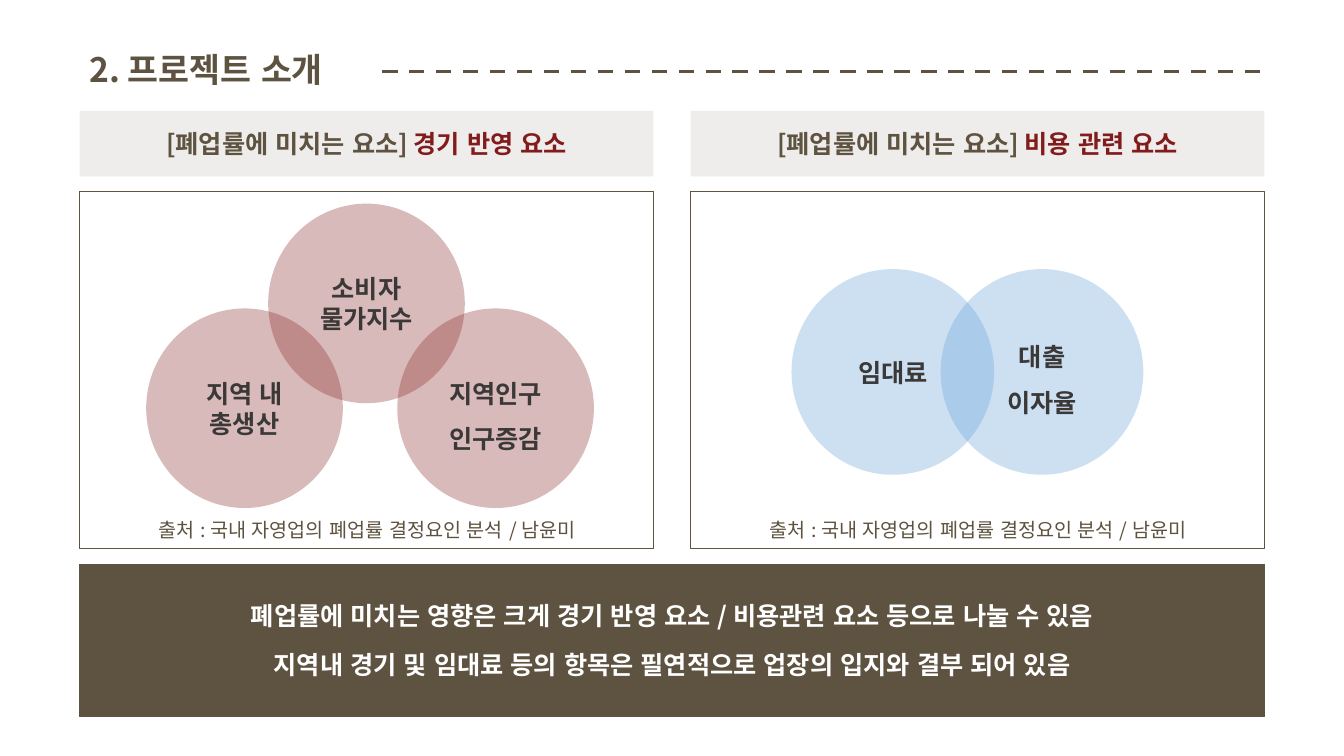
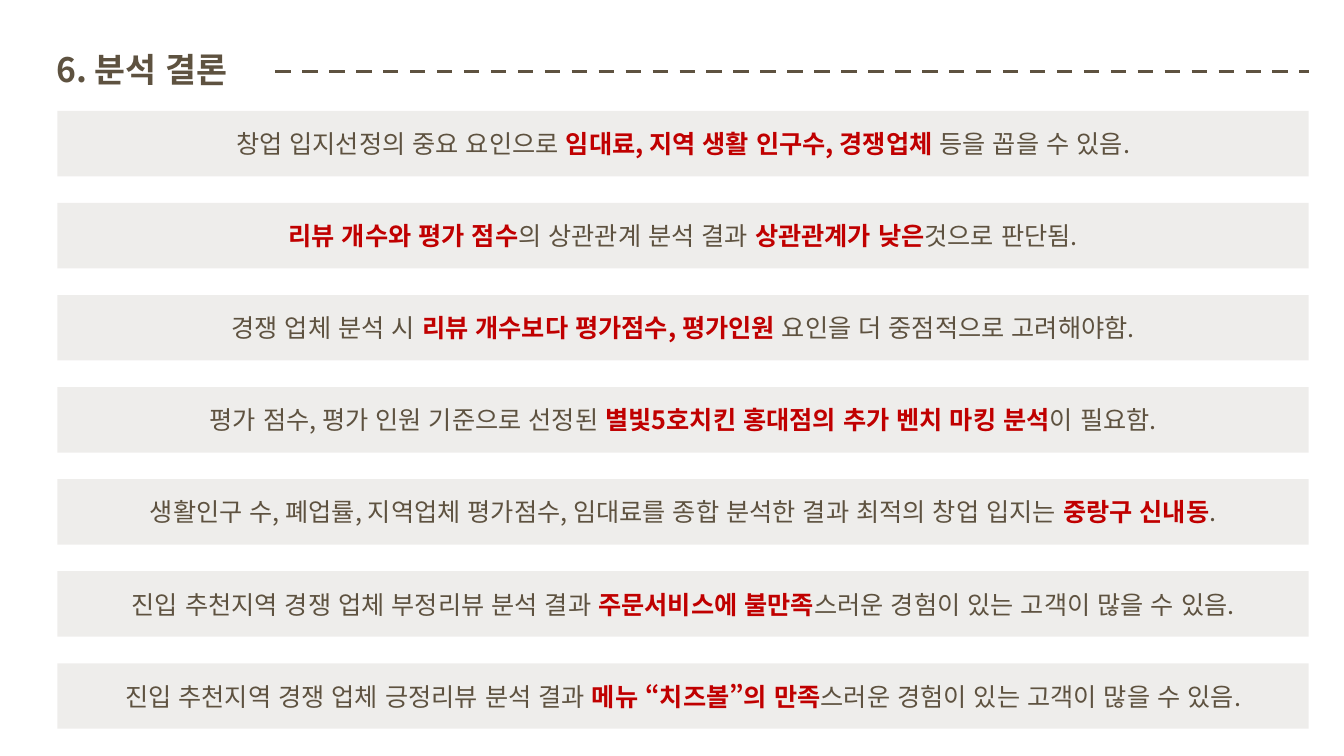
import pptx
import pptx.util
import pptx.dml.color
import pptx.enum.dml
import pptx.enum.lang
import pptx.enum.shapes
import pptx.enum.text
import pptx.oxml.ns
import lxml.etree

Inches, Pt = pptx.util.Inches, pptx.util.Pt
PRESET = pptx.enum.shapes.MSO_SHAPE
ALIGN = pptx.enum.text.PP_ALIGN
MIDDLE = pptx.enum.text.MSO_ANCHOR.MIDDLE

FONT = "Noto Sans CJK KR"
BROWN, CHARCOAL, WHITE = "5E5240", "3B3838", "FFFFFF"
WINE, RED, BLUE = "821C1C", "C00000", "5B9BD5"
BAND_TOP, BAND_HEIGHT, BAND_ALPHA = 1.1, 0.65, 10

# Circle labels: left, lines, line spacing
FACTORS = [
    {"left": 0.79, "name": "경기 반영 요소", "color": WINE, "size": (1.95, 1.98),
     "circles": [(1.45, 3.06, ["지역 내", "총생산"], 1),
                 (3.94, 3.06, ["지역인구", "인구증감"], 1.5),
                 (2.66, 2.02, ["소비자", "물가지수"], 1)]},
    {"left": 6.85, "name": "비용 관련 요소", "color": BLUE, "size": (2.01, 2.04),
     "circles": [(7.85, 2.67, ["임대료"], 1),
                 (9.33, 2.67, ["대출", "이자율"], 1.5)]},
]
FACTOR_PREFIX = "[폐업률에 미치는 요소] "
CITATION = "출처 : 국내 자영업의 폐업률 결정요인 분석 / 남윤미"
SUMMARY = [
    "폐업률에 미치는 영향은 크게 경기 반영 요소 / 비용관련 요소 등으로 나눌 수 있음",
    "지역내 경기 및 임대료 등의 항목은 필연적으로 업장의 입지와 결부 되어 있음",
]

# Asterisks enclose the emphasised words
CONCLUSIONS = [
    "창업 입지선정의 중요 요인으로 *임대료, 지역 생활 인구수, 경쟁업체 *등을 꼽을 수 있음.",
    "*리뷰 개수와 평가 점수*의 상관관계 분석 결과 *상관관계가 낮은*것으로 판단됨.",
    "경쟁 업체 분석 시 *리뷰 개수보다 평가점수, 평가인원 *요인을 더 중점적으로 고려해야함.",
    "평가 점수, 평가 인원 기준으로 선정된 *별빛5호치킨 홍대점의 추가 벤치 마킹 분석*이 필요함.",
    "생활인구 수, 폐업률, 지역업체 평가점수, 임대료를 종합 분석한 결과 최적의 창업 입지는 *중랑구 신내동*.",
    "진입 추천지역 경쟁 업체 부정리뷰 분석 결과 *주문서비스에 불만족*스러운 경험이 있는 고객이 많을 수 있음.",
    "진입 추천지역 경쟁 업체 긍정리뷰 분석 결과 *메뉴 “치즈볼”의 만족*스러운 경험이 있는 고객이 많을 수 있음.",
]


def rgb(color):
    return pptx.dml.color.RGBColor.from_string(color)


def write(frame, paragraphs, size=18, align=ALIGN.CENTER, spacing=None):
    """Fill a frame with paragraphs, each a list of (text, colour, bold) runs."""
    for index, runs in enumerate(paragraphs):
        paragraph = frame.paragraphs[0] if index == 0 else frame.add_paragraph()
        paragraph.alignment = align
        if spacing:
            paragraph.line_spacing = spacing
        for text, color, bold in runs:
            run = paragraph.add_run()
            run.text = text
            font = run.font
            font.size, font.name, font.bold = Pt(size), FONT, bold
            font.color.rgb = rgb(color)
            font.language_id = pptx.enum.lang.MSO_LANGUAGE_ID.KOREAN
            east_asian = lxml.etree.SubElement(
                run._r.get_or_add_rPr(), pptx.oxml.ns.qn("a:ea"))
            east_asian.set("typeface", FONT)


def add_box(slide, preset, at, fill=None, alpha=100, line=None):
    shape = slide.shapes.add_shape(preset, *map(Inches, at))
    shape.shadow.inherit = False
    if fill:
        shape.fill.solid()
        shape.fill.fore_color.rgb = rgb(fill)
        if alpha < 100:
            color = shape.fill._xPr.find(".//" + pptx.oxml.ns.qn("a:srgbClr"))
            opacity = lxml.etree.SubElement(color, pptx.oxml.ns.qn("a:alpha"))
            opacity.set("val", str(alpha * 1000))
    else:
        shape.fill.background()
    if line:
        shape.line.color.rgb = rgb(line)
        shape.line.width = Pt(1)
    else:
        shape.line.fill.background()
    shape.text_frame.word_wrap = True
    shape.text_frame.vertical_anchor = MIDDLE
    return shape


def add_band(slide, left, top, width, runs):
    band = add_box(slide, PRESET.RECTANGLE, (left, top, width, BAND_HEIGHT), BROWN, BAND_ALPHA)
    write(band.text_frame, [runs])


def add_label(slide, at, text, size, color, bold):
    label = slide.shapes.add_textbox(*map(Inches, at))
    label.text_frame.word_wrap = False
    write(label.text_frame, [[(text, color, bold)]], size)


def add_titled_slide(deck, title, left, width, rule_start, rule_end):
    slide = deck.slides.add_slide(deck.slide_layouts[6])
    heading = slide.shapes.add_textbox(*map(Inches, (left, 0.32, width, 0.78)))
    heading.text_frame.word_wrap = True
    heading.text_frame.vertical_anchor = MIDDLE
    write(heading.text_frame, [[(title, BROWN, True)]], 24, ALIGN.LEFT, 0.9)
    rule = slide.shapes.add_connector(
        pptx.enum.shapes.MSO_CONNECTOR.STRAIGHT,
        Inches(rule_start), Inches(0.71), Inches(rule_end), Inches(0.71))
    rule.line.color.rgb = rgb(BROWN)
    rule.line.width = Pt(2.75)
    rule.line.dash_style = pptx.enum.dml.MSO_LINE.DASH
    lxml.etree.SubElement(rule._element.spPr, pptx.oxml.ns.qn("a:effectLst"))
    return slide


def build_introduction(deck):
    slide = add_titled_slide(deck, "2. 프로젝트 소개", 0.79, 3, 3.79, 12.59)
    panel_width = 5.69
    for factor in FACTORS:
        left = factor["left"]
        add_band(slide, left, BAND_TOP, panel_width,
                 [(FACTOR_PREFIX, BROWN, True), (factor["name"], WINE, True)])
        add_box(slide, PRESET.RECTANGLE, (left, 1.9, panel_width, 3.54), line=BROWN)
        add_label(slide, (left + 0.45, 5.09, 4.8, 0.34), CITATION, 14, BROWN, False)
        for x, y, lines, spacing in factor["circles"]:
            circle = add_box(slide, PRESET.OVAL, (x, y, *factor["size"]), factor["color"], 30)
            write(circle.text_frame, [[(text, CHARCOAL, True)] for text in lines],
                  spacing=spacing)
    add_box(slide, PRESET.RECTANGLE, (0.79, 5.6, 11.75, 1.51), BROWN, line=BROWN)
    for index, sentence in enumerate(SUMMARY):
        add_label(slide, (1.89, 5.91 + index * 0.48, 9.55, 0.4), sentence, 18, WHITE, True)


def build_conclusions(deck):
    slide = add_titled_slide(deck, "6. 분석 결론", 0.46, 7.88, 2.73, 12.98)
    pitch = (6.58 - BAND_TOP) / (len(CONCLUSIONS) - 1)
    for row, sentence in enumerate(CONCLUSIONS):
        runs = [(text, RED if part % 2 else BROWN, part % 2 == 1)
                for part, text in enumerate(sentence.split("*")) if text]
        add_band(slide, 0.57, BAND_TOP + row * pitch, 12.41, runs)


def main():
    deck = pptx.Presentation()
    deck.slide_width, deck.slide_height = Inches(13.33), Inches(7.5)
    build_introduction(deck)
    build_conclusions(deck)
    deck.save("out.pptx")


if __name__ == "__main__":
    main()
